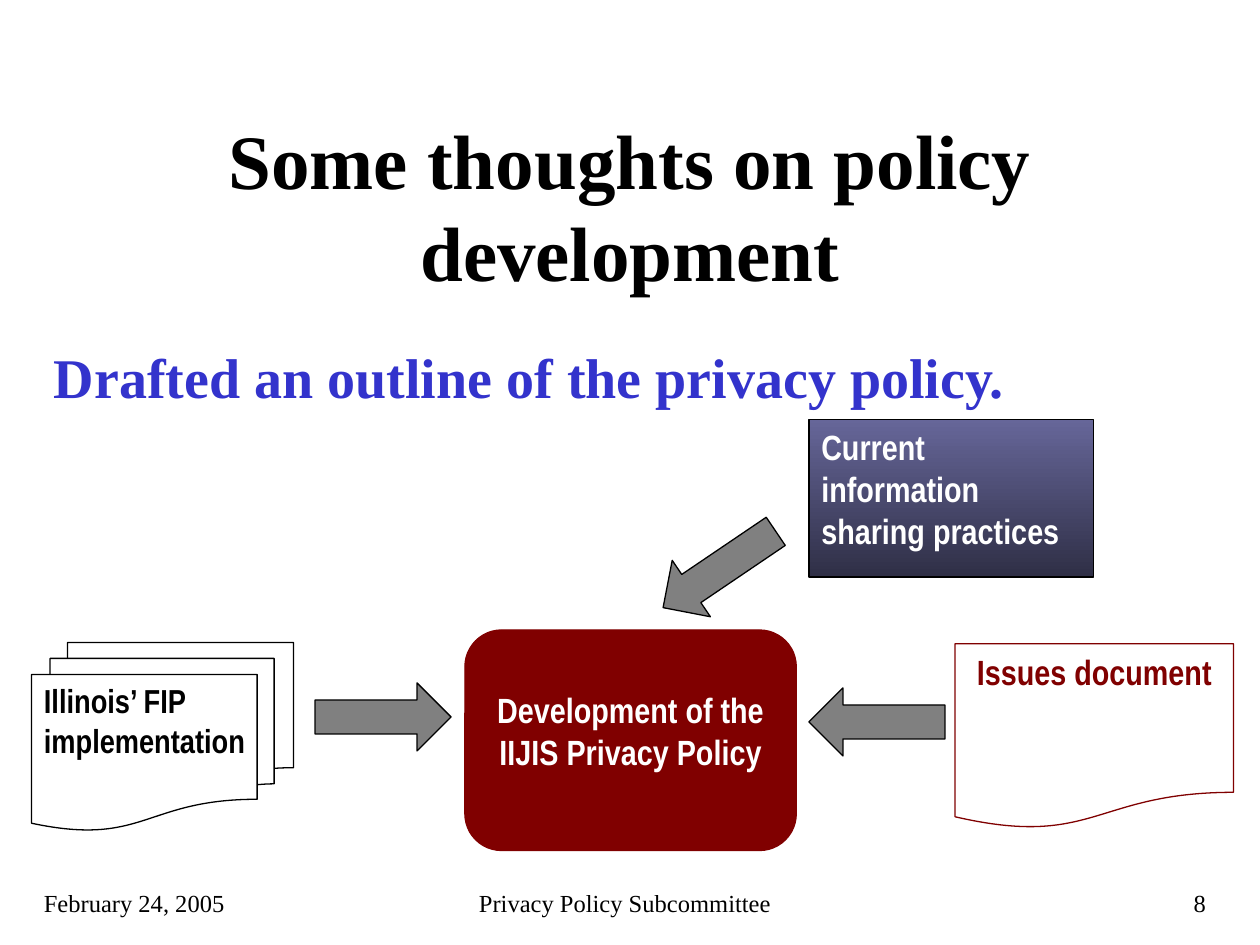
import pptx
import pptx.util
import pptx.dml.color
import pptx.enum.shapes
import pptx.enum.text
from dataclasses import dataclass

SHAPE = pptx.enum.shapes.MSO_SHAPE
ALIGN = pptx.enum.text.PP_ALIGN
ANCHOR = pptx.enum.text.MSO_ANCHOR
PX = 9144


@dataclass(frozen=True)
class Theme:
    """Colours, fonts and type sizes of the slide."""
    black: str = "000000"
    white: str = "FFFFFF"
    maroon: str = "800000"
    grey: str = "808080"
    blue: str = "3333CC"
    slate: str = "666699"
    night: str = "2F2F46"
    serif: str = "Times New Roman"
    narrow: str = "Arial Narrow"
    title: int = 44
    lead: int = 32
    label: int = 20
    small_label: int = 19
    footer: int = 14


THEME = Theme()


def rgb(value):
    """Turn a hex string into a colour."""
    return pptx.dml.color.RGBColor.from_string(value)


def emu(*lengths):
    """Turn px lengths into EMU."""
    return [pptx.util.Emu(n * PX) for n in lengths]


def write(s, text, size, color, font=THEME.serif, bold=True, align=ALIGN.LEFT,
          anchor=ANCHOR.TOP, insets=(10, 5, 10, 5)):
    """Set and format the text of a shape."""
    tf = s.text_frame
    tf.text = text
    tf.word_wrap = True
    tf.vertical_anchor = anchor
    tf.margin_left, tf.margin_top, tf.margin_right, tf.margin_bottom = emu(*insets)
    p = tf.paragraphs[0]
    p.alignment = align
    for r in p.runs:
        r.font.name, r.font.size, r.font.bold = font, pptx.util.Pt(size), bold
        r.font.color.rgb = rgb(color)


def add_text(slide, box, text, size, color, **style):
    """Add a text box."""
    write(slide.shapes.add_textbox(*emu(*box)), text, size, color, **style)


def add_shape(slide, kind, box, fill, line):
    """Add a flat outlined shape."""
    s = slide.shapes.add_shape(kind, *emu(*box))
    s.shadow.inherit = False
    s.fill.solid()
    s.fill.fore_color.rgb = rgb(fill)
    s.line.color.rgb = rgb(line)
    s.line.width = pptx.util.Pt(0.75)
    return s


def add_arrow(slide, left, top, flip=False, rotation=0):
    """Add a grey block arrow, optionally pointing left."""
    s = add_shape(slide, SHAPE.RIGHT_ARROW, (left, top, 108, 54), THEME.grey, THEME.black)
    s.adjustments[0] = s.adjustments[1] = 0.5
    if flip:
        s.element.spPr.xfrm.set("flipH", "1")
    s.rotation = rotation


def add_heading(slide, left, top, width):
    """Place the title and the lead sentence under it."""
    title = slide.shapes.title
    title.left, title.top, title.width, title.height = emu(left, top, width, 125)
    write(title, "Some thoughts on policy development", THEME.title, THEME.black,
          align=ALIGN.CENTER, anchor=ANCHOR.MIDDLE)
    add_text(slide, (left + 8, top + 162, width - 17, 64),
             "Drafted an outline of the privacy policy.", THEME.lead, THEME.blue,
             insets=(10, 10, 10, 2))


def add_diagram(slide, left, top):
    """Place the three inputs and their arrows around the policy box."""
    s = add_shape(slide, SHAPE.FLOWCHART_MULTIDOCUMENT, (left, top + 177, 208, 149),
                  THEME.white, THEME.black)
    write(s, "Illinois’ FIP implementation", THEME.small_label, THEME.black,
          font=THEME.narrow, insets=(10, 5, 5, 5))

    s = add_shape(slide, SHAPE.FLOWCHART_ALTERNATE_PROCESS, (left + 344, top + 167, 263, 175),
                  THEME.maroon, THEME.maroon)
    write(s, "Development of the IIJIS Privacy Policy", THEME.label, THEME.white,
          font=THEME.narrow, align=ALIGN.CENTER, insets=(10, 38, 10, 5))

    s = add_shape(slide, SHAPE.FLOWCHART_DOCUMENT, (left + 733, top + 178, 221, 147),
                  THEME.white, THEME.maroon)
    write(s, "Issues document", THEME.label, THEME.maroon, font=THEME.narrow,
          align=ALIGN.CENTER)

    s = add_shape(slide, SHAPE.FLOWCHART_PROCESS, (left + 617, top, 226, 125),
                  THEME.slate, THEME.black)
    s.fill.gradient()
    s.fill.gradient_angle = 270
    for stop, color in zip(s.fill.gradient_stops, (THEME.slate, THEME.night)):
        stop.color.rgb = rgb(color)
    write(s, "Current information sharing practices", THEME.label, THEME.white,
          font=THEME.narrow)

    add_arrow(slide, left + 225, top + 209)
    add_arrow(slide, left + 617, top + 213, flip=True)
    add_arrow(slide, left + 492, top + 92, flip=True, rotation=325.9)


def add_footer(slide, left, top):
    """Place the date, the group name and the page number."""
    for x, width, text, align in (
            (0, 300, "February 24, 2005", ALIGN.LEFT),
            (267, 408, "Privacy Policy Subcommittee", ALIGN.CENTER),
            (642, 300, "8", ALIGN.RIGHT)):
        add_text(slide, (left + x, top, width, 50), text, THEME.footer, THEME.black,
                 bold=False, align=align)


def main():
    """Build and save the slide."""
    prs = pptx.Presentation()
    prs.slide_width, prs.slide_height = emu(1000, 750)
    slide = prs.slides.add_slide(prs.slide_layouts[5])
    add_heading(slide, 25, 100, 950)
    add_diagram(slide, 25, 333)
    add_footer(slide, 25, 700)
    prs.save("out.pptx")


if __name__ == "__main__":
    main()
